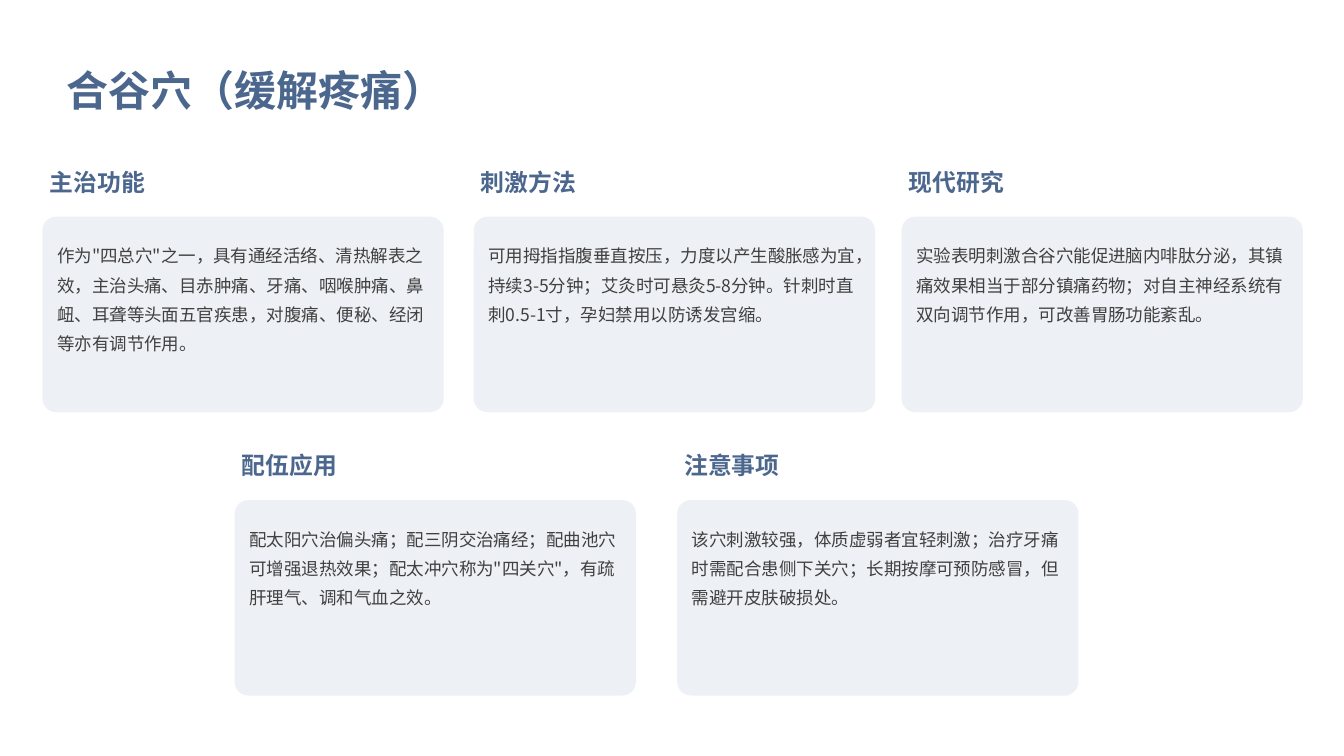
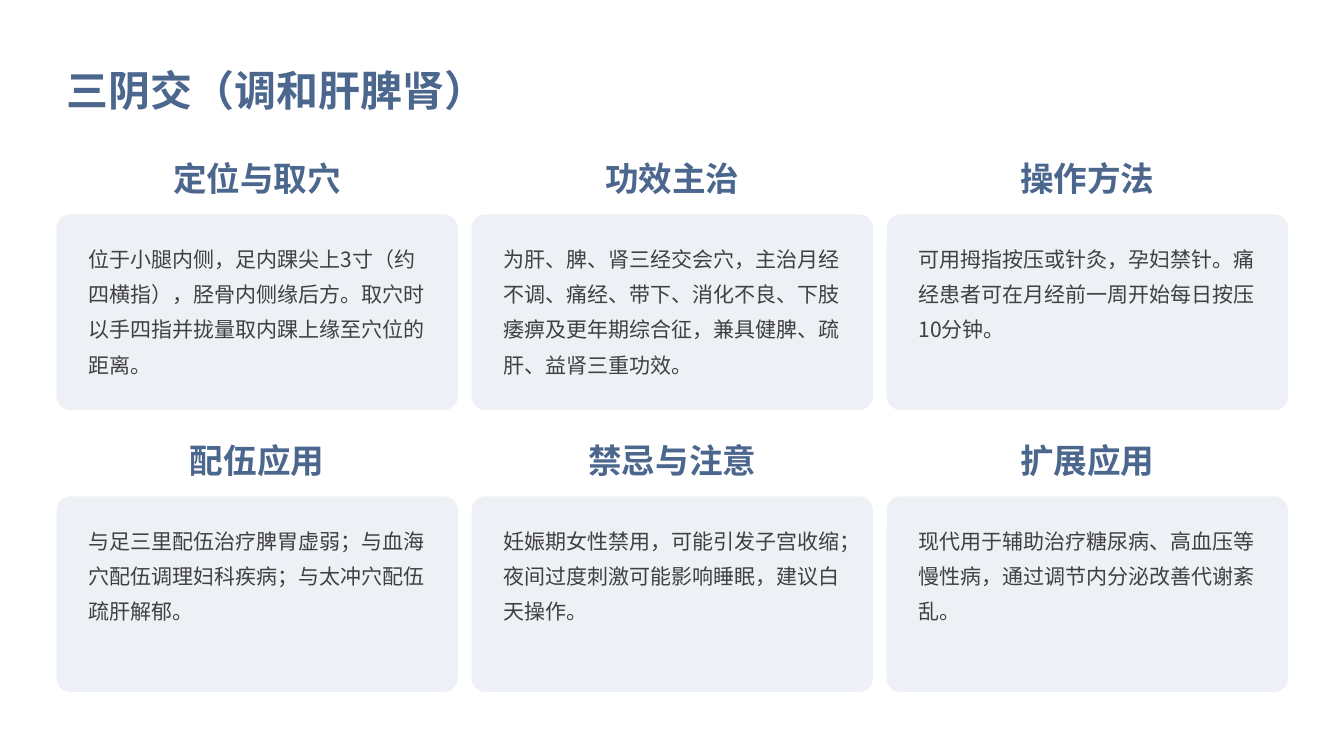
from dataclasses import dataclass

import pptx
import pptx.dml.color
import pptx.enum.shapes
import pptx.enum.text
import pptx.oxml.ns
import pptx.util
from lxml import etree

Pt = pptx.util.Pt
RGBColor = pptx.dml.color.RGBColor
ALIGN = pptx.enum.text.PP_ALIGN
ANCHOR = pptx.enum.text.MSO_ANCHOR
qn = pptx.oxml.ns.qn

# Shared look
BLUE = RGBColor(0x4C, 0x67, 0x8E)
GREY = RGBColor(0x40, 0x40, 0x40)
PANEL = RGBColor(0xE1, 0xE7, 0xEE)
PANEL_OPACITY = 60
FONT = "Noto Sans CJK SC"
CARD_WIDTH, CARD_HEIGHT = 286.6, 139.6
BODY_INSETS = (5, 2.9, 5, 2.9)
HEADING_INSETS = (7.2, 3.6, 7.2, 3.6)


@dataclass
class CardStyle:
    """Boxes are left, top, width, height; left and top count from the card."""
    heading_box: tuple
    heading_size: float
    heading_align: ALIGN
    body_box: tuple
    body_size: float


LEFT_HEADED = CardStyle((-2, -38.9, 290, 44), 17, ALIGN.LEFT,
                        (5.5, 11.5, 276, 108.8), 12.5)
CENTRE_HEADED = CardStyle((0, -44.2, CARD_WIDTH, 39.6), 24, ALIGN.CENTER,
                          (17.8, 12.6, 251, 113.8), 15)

# Slide content: heading and body of each card
HEGU_TOP = [
    ("主治功能", "作为\"四总穴\"之一，具有通经活络、清热解表之效，主治头痛、目赤肿痛、牙痛、咽喉肿痛、鼻衄、耳聋等头面五官疾患，对腹痛、便秘、经闭等亦有调节作用。"),
    ("刺激方法", "可用拇指指腹垂直按压，力度以产生酸胀感为宜，持续3-5分钟；艾灸时可悬灸5-8分钟。针刺时直刺0.5-1寸，孕妇禁用以防诱发宫缩。"),
    ("现代研究", "实验表明刺激合谷穴能促进脑内啡肽分泌，其镇痛效果相当于部分镇痛药物；对自主神经系统有双向调节作用，可改善胃肠功能紊乱。"),
]
HEGU_BOTTOM = [
    ("配伍应用", "配太阳穴治偏头痛；配三阴交治痛经；配曲池穴可增强退热效果；配太冲穴称为\"四关穴\"，有疏肝理气、调和气血之效。"),
    ("注意事项", "该穴刺激较强，体质虚弱者宜轻刺激；治疗牙痛时需配合患侧下关穴；长期按摩可预防感冒，但需避开皮肤破损处。"),
]
SANYINJIAO_TOP = [
    ("定位与取穴", "位于小腿内侧，足内踝尖上3寸（约四横指），胫骨内侧缘后方。取穴时以手四指并拢量取内踝上缘至穴位的距离。"),
    ("功效主治", "为肝、脾、肾三经交会穴，主治月经不调、痛经、带下、消化不良、下肢痿痹及更年期综合征，兼具健脾、疏肝、益肾三重功效。"),
    ("操作方法", "可用拇指按压或针灸，孕妇禁针。痛经患者可在月经前一周开始每日按压10分钟。"),
]
SANYINJIAO_BOTTOM = [
    ("配伍应用", "与足三里配伍治疗脾胃虚弱；与血海穴配伍调理妇科疾病；与太冲穴配伍疏肝解郁。"),
    ("禁忌与注意", "妊娠期女性禁用，可能引发子宫收缩；夜间过度刺激可能影响睡眠，建议白天操作。"),
    ("扩展应用", "现代用于辅助治疗糖尿病、高血压等慢性病，通过调节内分泌改善代谢紊乱。"),
]


def add_text(slide, box, text, size, color, insets, bold=False,
             align=ALIGN.LEFT, anchor=ANCHOR.TOP, line_spacing=1.0):
    frame = slide.shapes.add_textbox(*map(Pt, box)).text_frame
    frame.word_wrap = True
    frame.vertical_anchor = anchor
    (frame.margin_left, frame.margin_top,
     frame.margin_right, frame.margin_bottom) = map(Pt, insets)
    paragraph = frame.paragraphs[0]
    paragraph.text = text
    paragraph.alignment = align
    paragraph.line_spacing = line_spacing
    font = paragraph.font
    font.name, font.size, font.bold = FONT, Pt(size), bold
    font.color.rgb = color
    # Chinese characters take the East Asian typeface
    properties = paragraph._p.pPr.find(qn("a:defRPr"))
    etree.SubElement(properties, qn("a:ea"), typeface=FONT)


def add_panel(slide, left, top):
    shape = slide.shapes.add_shape(
        pptx.enum.shapes.MSO_SHAPE.ROUNDED_RECTANGLE,
        Pt(left), Pt(top), Pt(CARD_WIDTH), Pt(CARD_HEIGHT))
    shape.adjustments[0] = 0.07
    shape.shadow.inherit = False
    shape.line.fill.background()
    shape.fill.solid()
    shape.fill.fore_color.rgb = PANEL
    color = shape._element.spPr.find(qn("a:solidFill"))[0]
    etree.SubElement(color, qn("a:alpha"), val=str(PANEL_OPACITY * 1000))


def add_card(slide, left, top, heading, body, style):
    def placed(box):
        return (left + box[0], top + box[1], *box[2:])

    add_panel(slide, left, top)
    add_text(slide, placed(style.heading_box), heading, style.heading_size,
             BLUE, HEADING_INSETS, bold=True, align=style.heading_align)
    add_text(slide, placed(style.body_box), body, style.body_size,
             GREY, BODY_INSETS, line_spacing=1.4)


def add_card_row(slide, lefts, top, cards, style):
    for left, (heading, body) in zip(lefts, cards):
        add_card(slide, left, top, heading, body, style)


def add_titled_slide(presentation, title):
    slide = presentation.slides.add_slide(presentation.slide_layouts[6])
    add_text(slide, (37.4, 20.9, 885, 72), title, 30, BLUE, (10, 10, 4.3, 10),
             bold=True, anchor=ANCHOR.MIDDLE, line_spacing=1.4)
    return slide


def main():
    presentation = pptx.Presentation()
    presentation.slide_width, presentation.slide_height = Pt(960), Pt(540)

    # Three cards above two
    slide = add_titled_slide(presentation, "合谷穴（缓解疼痛）")
    add_card_row(slide, (30.3, 338.4, 644), 154.8, HEGU_TOP, LEFT_HEADED)
    add_card_row(slide, (167.6, 483.7), 357.2, HEGU_BOTTOM, LEFT_HEADED)

    # Even grid of three by two
    slide = add_titled_slide(presentation, "三阴交（调和肝脾肾）")
    lefts = [40.4 + 296.5 * column for column in range(3)]
    for row, cards in enumerate((SANYINJIAO_TOP, SANYINJIAO_BOTTOM)):
        add_card_row(slide, lefts, 153.2 + 201.4 * row, cards, CENTRE_HEADED)

    presentation.save("out.pptx")


if __name__ == "__main__":
    main()
